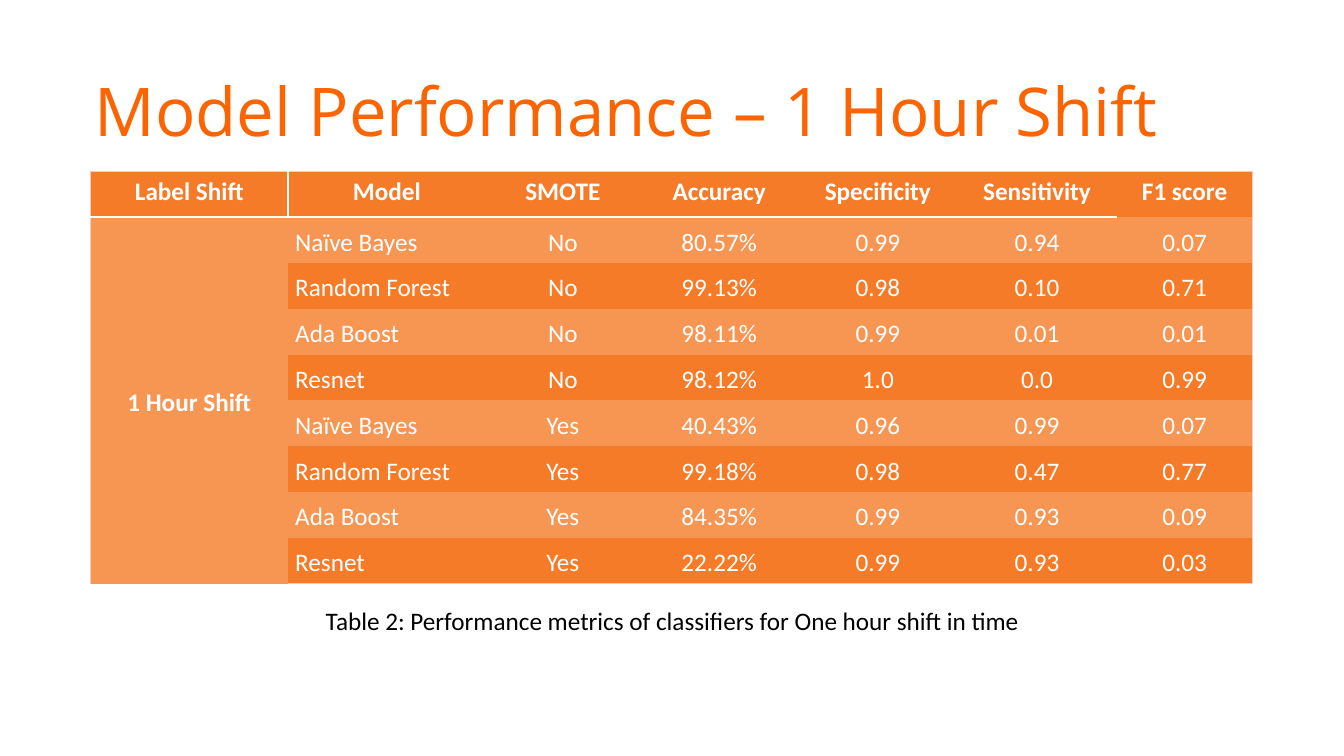
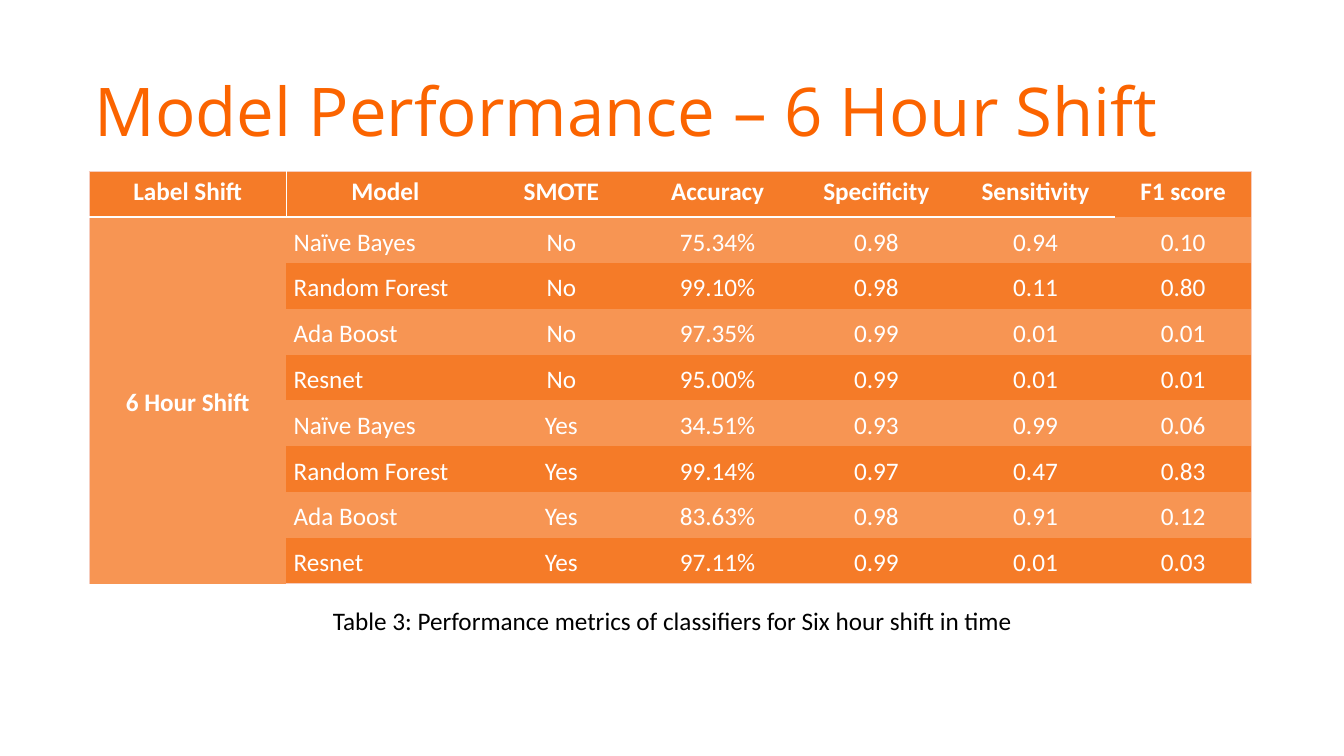
from dataclasses import dataclass
from itertools import product
from typing import Any

from lxml.etree import SubElement
from pptx import Presentation
from pptx.dml.color import RGBColor
from pptx.enum.text import MSO_ANCHOR, MSO_AUTO_SIZE, PP_ALIGN
from pptx.oxml.ns import qn
from pptx.slide import Slide
from pptx.util import Cm, Pt

COLORS = {
    "title": "FB6400",
    "dark": "F57B28",
    "light": "F79553",
    "edge": "F6CCBE",
    "white": "FFFFFF",
    "black": "000000",
}
TITLE_FONT = {"name": "Open Sans", "size": Pt(48), "bold": False}
BODY_FONT = {"name": "Calibri", "size": Pt(18), "bold": False}
HEAD_FONT = BODY_FONT | {"bold": True}
TITLE_BOX = {"left": Cm(0.86), "top": Cm(1.6), "width": Cm(30.66), "height": Cm(2.31)}
TITLE_FRAME = {
    "margin_left": Cm(1.52),
    "vertical_anchor": MSO_ANCHOR.MIDDLE,
    "auto_size": MSO_AUTO_SIZE.NONE,
    "word_wrap": True,
}
CELL_MARGINS = {
    "margin_left": Cm(0.18),
    "margin_right": Cm(0.18),
    "margin_top": 0,
    "margin_bottom": 0,
}
PLAIN_TABLE = "{2D5ABB26-0587-4C30-8999-92F81FD0307C}"
HEADERS = ["Label Shift", "Model", "SMOTE", "Accuracy", "Specificity", "Sensitivity", "F1 score"]
WIDTHS = [4.98, 4.98, 3.89, 3.99, 4.01, 4.01, 3.43]
MODELS = ["Naïve Bayes", "Random Forest", "Ada Boost", "Resnet"]
TABLE_TOP, TABLE_HEIGHT = 4.32, 10.39


@dataclass
class Results:
    number: int
    hours: int
    word: str
    left: float
    scores: list[str]


RESULTS = [
    Results(2, 1, "One", 2.28, [
        "80.57% 0.99 0.94 0.07",
        "99.13% 0.98 0.10 0.71",
        "98.11% 0.99 0.01 0.01",
        "98.12% 1.0 0.0 0.99",
        "40.43% 0.96 0.99 0.07",
        "99.18% 0.98 0.47 0.77",
        "84.35% 0.99 0.93 0.09",
        "22.22% 0.99 0.93 0.03",
    ]),
    Results(3, 6, "Six", 2.24, [
        "75.34% 0.98 0.94 0.10",
        "99.10% 0.98 0.11 0.80",
        "97.35% 0.99 0.01 0.01",
        "95.00% 0.99 0.01 0.01",
        "34.51% 0.93 0.99 0.06",
        "99.14% 0.97 0.47 0.83",
        "83.63% 0.98 0.91 0.12",
        "97.11% 0.99 0.01 0.03",
    ]),
]


def apply(obj: Any, fmt: dict[str, Any]) -> None:
    for name, value in fmt.items():
        setattr(obj, name, value)


def write(tf: Any, text: str, font: dict[str, Any], color: str, align: PP_ALIGN) -> Any:
    p = tf.paragraphs[0]
    p.alignment = align
    r = p.add_run()
    r.text = text
    apply(r.font, font)
    r.font.color.rgb = RGBColor.from_string(COLORS[color])
    return p


def add_border(cell: Any, side: str, color: str, points: float) -> None:
    ln = SubElement(cell._tc.get_or_add_tcPr(), qn(f"a:ln{side}"), w=str(Pt(points)))
    fill = SubElement(ln, qn("a:solidFill"))
    SubElement(fill, qn("a:srgbClr"), val=COLORS[color])


def add_borders(cell: Any, row: int, col: int, last_row: int, last_col: int) -> None:
    if col == 0:
        add_border(cell, "L", "edge", 0.5)
    if col == last_col:
        add_border(cell, "R", "edge", 0.5)
    elif row == col == 0:
        add_border(cell, "R", "white", 1)
    if row == 0:
        add_border(cell, "T", "edge", 0.5)
        if col < last_col:
            add_border(cell, "B", "white", 1.5)
    elif row == last_row:
        add_border(cell, "B", "edge", 0.5)


def add_title(s: Slide, text: str) -> None:
    title = s.shapes.title
    apply(title, TITLE_BOX)
    apply(title.text_frame, TITLE_FRAME)
    write(title.text_frame, text, TITLE_FONT, "title", PP_ALIGN.LEFT)


def add_results(s: Slide, res: Results) -> None:
    setups = product(["No", "Yes"], MODELS)
    rows = [HEADERS] + [
        ["", model, smote, *scores.split()]
        for (smote, model), scores in zip(setups, res.scores)
    ]
    rows[1][0] = f"{res.hours} Hour Shift"
    last_row, last_col = len(rows) - 1, len(HEADERS) - 1
    table = s.shapes.add_table(
        len(rows), len(HEADERS), Cm(res.left), Cm(TABLE_TOP), Cm(sum(WIDTHS)), Cm(TABLE_HEIGHT)
    ).table
    apply(table, {"first_row": False, "horz_banding": False})
    table._tbl.tblPr.find(qn("a:tableStyleId")).text = PLAIN_TABLE
    for column, width in zip(table.columns, WIDTHS):
        column.width = Cm(width)
    for row, texts in enumerate(rows):
        for col, text in enumerate(texts):
            cell = table.cell(row, col)
            apply(cell, CELL_MARGINS)
            cell.vertical_anchor = MSO_ANCHOR.MIDDLE if row else MSO_ANCHOR.TOP
            add_borders(cell, row, col, last_row, last_col)
            light = row > 0 and (col == 0 or row % 2 == 1)
            cell.fill.solid()
            cell.fill.fore_color.rgb = RGBColor.from_string(COLORS["light" if light else "dark"])
            if text:
                font = HEAD_FONT if row == 0 or col == 0 else BODY_FONT
                align = PP_ALIGN.LEFT if row and col == 1 else PP_ALIGN.CENTER
                write(cell.text_frame, text, font, "white", align).line_spacing = 1.15
    table.cell(1, 0).merge(table.cell(last_row, 0))


def add_caption(s: Slide, text: str) -> None:
    tf = s.shapes.add_textbox(Cm(7.7), Cm(15.14), Cm(18.49), Cm(1.02)).text_frame
    tf.word_wrap = True
    write(tf, text, BODY_FONT, "black", PP_ALIGN.CENTER)


def main() -> None:
    prs = Presentation()
    apply(prs, {"slide_width": Cm(33.87), "slide_height": Cm(19.05)})
    for res in RESULTS:
        s = prs.slides.add_slide(prs.slide_layouts[5])
        add_title(s, f"Model Performance – {res.hours} Hour Shift")
        add_results(s, res)
        add_caption(
            s,
            f"Table {res.number}: Performance metrics of classifiers "
            f"for {res.word} hour shift in time",
        )
    prs.save("out.pptx")


main()
